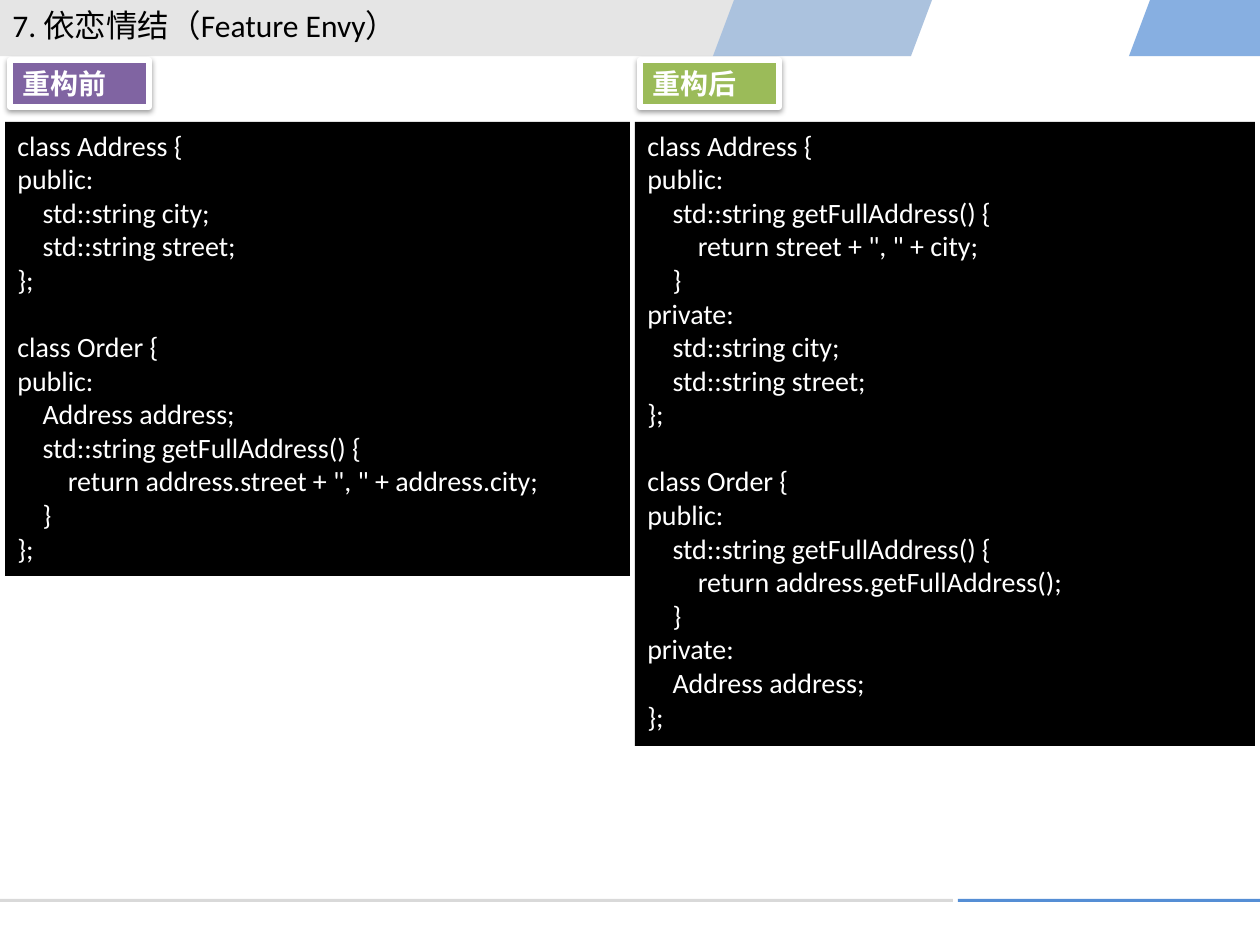
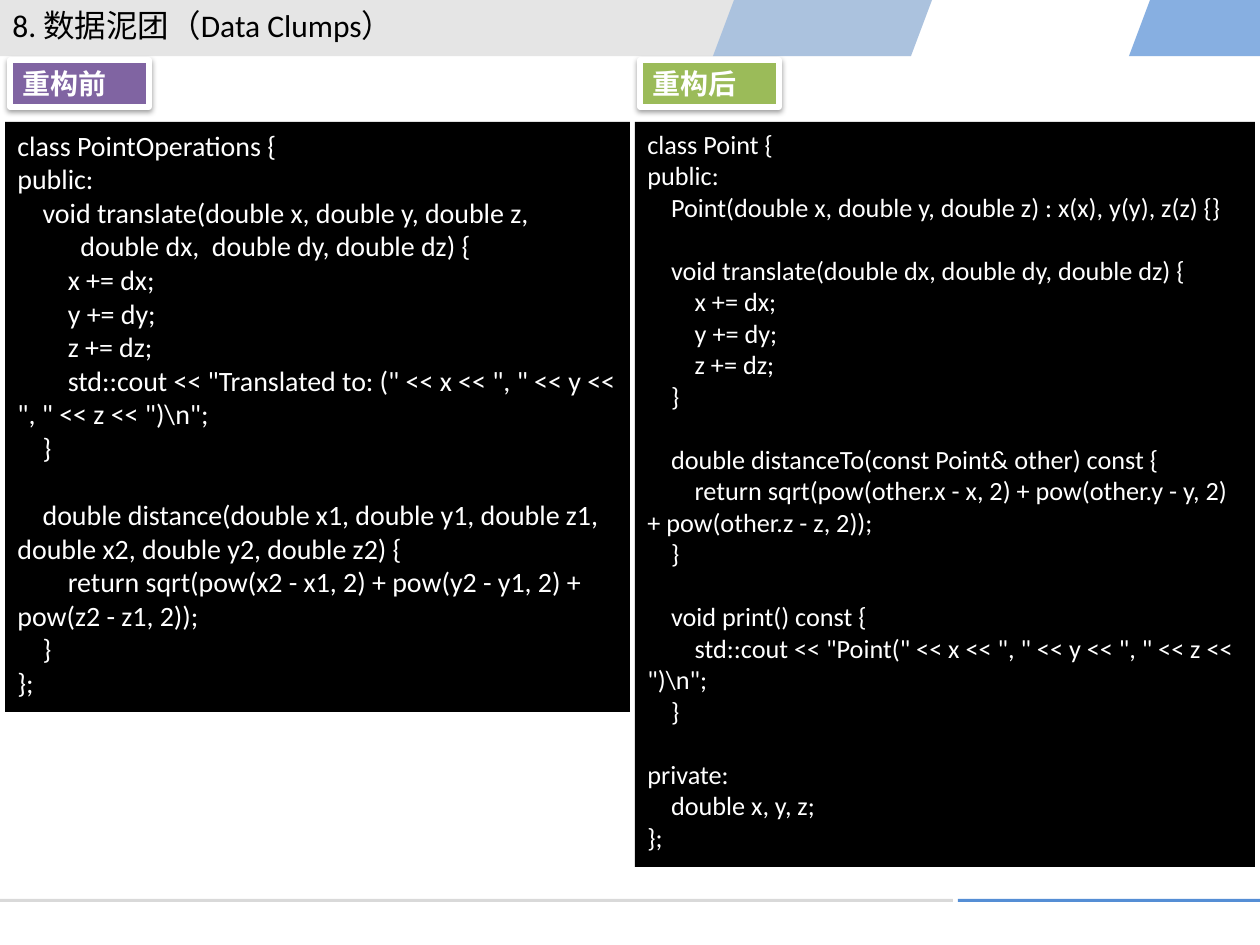
from lxml import etree
from pptx import Presentation
from pptx.dml.color import RGBColor
from pptx.enum.shapes import MSO_SHAPE
from pptx.enum.text import MSO_ANCHOR, PP_ALIGN
from pptx.oxml.ns import qn
from pptx.util import Pt

RECTANGLE = MSO_SHAPE.RECTANGLE
LEFT = PP_ALIGN.LEFT
TOP, MIDDLE = MSO_ANCHOR.TOP, MSO_ANCHOR.MIDDLE

SCALE = 914400 / 126
SLIDE_WIDTH, SLIDE_HEIGHT = 1260, 945
FONT = "Calibri"
BLACK, WHITE = "000000", "FFFFFF"
BLUE, GREY, RULE_GREY = "558ED5", "BFBFBF", "D9D9D9"
PURPLE, GREEN = "8064A2", "9BBB59"
LINE_HEIGHT = 1.2

# Top band: left edge, right edge, slant of each edge, colour, opacity in percent
BAND_HEIGHT, SLANT = 56, 21
BANDS = [
    (1150, SLIDE_WIDTH, SLANT, 0, BLUE, 70),
    (0, 932, 0, SLANT, GREY, 40),
    (734, 932, SLANT, SLANT, BLUE, 40),
]

# Columns: left, width, label, label colour
BEFORE = (5, 625, "重构前", PURPLE)
AFTER = (635, 620, "重构后", GREEN)

ENVY_BEFORE = r"""class Address {
public:
    std::string city;
    std::string street;
};

class Order {
public:
    Address address;
    std::string getFullAddress() {
        return address.street + ", " + address.city;
    }
};"""

ENVY_AFTER = r"""class Address {
public:
    std::string getFullAddress() {
        return street + ", " + city;
    }
private:
    std::string city;
    std::string street;
};

class Order {
public:
    std::string getFullAddress() {
        return address.getFullAddress();
    }
private:
    Address address;
};"""

CLUMPS_BEFORE = r"""class PointOperations {
public:
    void translate(double x, double y, double z,
	double dx,  double dy, double dz) {
        x += dx;
        y += dy;
        z += dz;
        std::cout << "Translated to: (" << x << ", " << y << ", " << z << ")\n";
    }

    double distance(double x1, double y1, double z1, double x2, double y2, double z2) {
        return sqrt(pow(x2 - x1, 2) + pow(y2 - y1, 2) + pow(z2 - z1, 2));
    }
};"""

CLUMPS_AFTER = r"""class Point {
public:
    Point(double x, double y, double z) : x(x), y(y), z(z) {}

    void translate(double dx, double dy, double dz) {
        x += dx;
        y += dy;
        z += dz;
    }

    double distanceTo(const Point& other) const {
        return sqrt(pow(other.x - x, 2) + pow(other.y - y, 2) + pow(other.z - z, 2));
    }

    void print() const {
        std::cout << "Point(" << x << ", " << y << ", " << z << ")\n";
    }

private:
    double x, y, z;
};"""

# Title, then for each column: code, text size, panel height
SLIDES = [
    ("7. 依恋情结（Feature Envy）",
     [(ENVY_BEFORE, 16, 454), (ENVY_AFTER, 16, 624)]),
    ("8. 数据泥团（Data Clumps）",
     [(CLUMPS_BEFORE, 16, 590), (CLUMPS_AFTER, 15, 745)]),
]


def px(length):
    return round(length * SCALE)


def color(value):
    return RGBColor.from_string(value)


def paint(shape, fill):
    shape.shadow.inherit = False
    shape.fill.solid()
    shape.fill.fore_color.rgb = color(fill)
    shape.line.fill.background()


def add_rectangle(slide, left, top, width, height, fill):
    shape = slide.shapes.add_shape(RECTANGLE, px(left), px(top), px(width), px(height))
    paint(shape, fill)
    return shape


def write(shape, text, size, ink, bold=False, anchor=TOP):
    """Put each line in a paragraph; an empty line becomes space before the next."""
    frame = shape.text_frame
    frame.word_wrap = True
    frame.vertical_anchor = anchor
    paragraph = frame.paragraphs[0]
    gap = False
    for index, line in enumerate(text.split("\n")):
        if not line:
            gap = True
            continue
        if index:
            paragraph = frame.add_paragraph()
        paragraph.alignment = LEFT
        if gap:
            paragraph.space_before = Pt(size * LINE_HEIGHT)
            gap = False
        run = paragraph.add_run()
        run.text = line
        run.font.name = FONT
        run.font.size = Pt(size)
        run.font.bold = bold
        run.font.color.rgb = color(ink)


def set_opacity(shape, percent):
    color_element = shape.fill._xPr.find(qn("a:solidFill"))[0]
    etree.SubElement(color_element, qn("a:alpha"), val=str(percent * 1000))


def add_soft_shadow(shape):
    effects = shape._element.spPr.find(qn("a:effectLst"))
    shadow = etree.SubElement(effects, qn("a:outerShdw"), blurRad="40000",
                              dist="20000", dir="5400000", rotWithShape="0")
    shadow_color = etree.SubElement(shadow, qn("a:srgbClr"), val=BLACK)
    etree.SubElement(shadow_color, qn("a:alpha"), val="38000")


def add_frame(slide):
    # Slanted bands across the top
    for left, right, left_slant, right_slant, fill, opacity in BANDS:
        builder = slide.shapes.build_freeform(px(left), px(0))
        builder.add_line_segments([
            (px(right), px(0)),
            (px(right - right_slant), px(BAND_HEIGHT)),
            (px(left - left_slant), px(BAND_HEIGHT)),
        ], close=True)
        band = builder.convert_to_shape()
        paint(band, fill)
        set_opacity(band, opacity)
    # Footer rules
    for left, right, fill in [(0, 953, RULE_GREY), (958, SLIDE_WIDTH, BLUE)]:
        add_rectangle(slide, left, 899, right - left, 3, fill)


def add_title(slide, text):
    title = slide.shapes.add_textbox(px(0), px(0), px(481), px(50))
    write(title, text, 18, BLACK)


def add_column(slide, column, code, size, height):
    left, width, label_text, label_fill = column
    # Code panel
    panel = add_rectangle(slide, left, 122, width, height, BLACK)
    write(panel, code, size, WHITE)
    # Label above the panel
    label = add_rectangle(slide, left + 5, 60, 139, 47, label_fill)
    label.line.color.rgb = color(WHITE)
    label.line.width = Pt(3)
    add_soft_shadow(label)
    write(label, label_text, 16, WHITE, bold=True, anchor=MIDDLE)


def add_comparison_slide(presentation, title, listings):
    slide = presentation.slides.add_slide(presentation.slide_layouts[6])
    add_frame(slide)
    add_title(slide, title)
    for column, listing in zip((BEFORE, AFTER), listings):
        add_column(slide, column, *listing)


def main():
    presentation = Presentation()
    presentation.slide_width = px(SLIDE_WIDTH)
    presentation.slide_height = px(SLIDE_HEIGHT)
    for title, listings in SLIDES:
        add_comparison_slide(presentation, title, listings)
    presentation.save("out.pptx")


if __name__ == "__main__":
    main()
